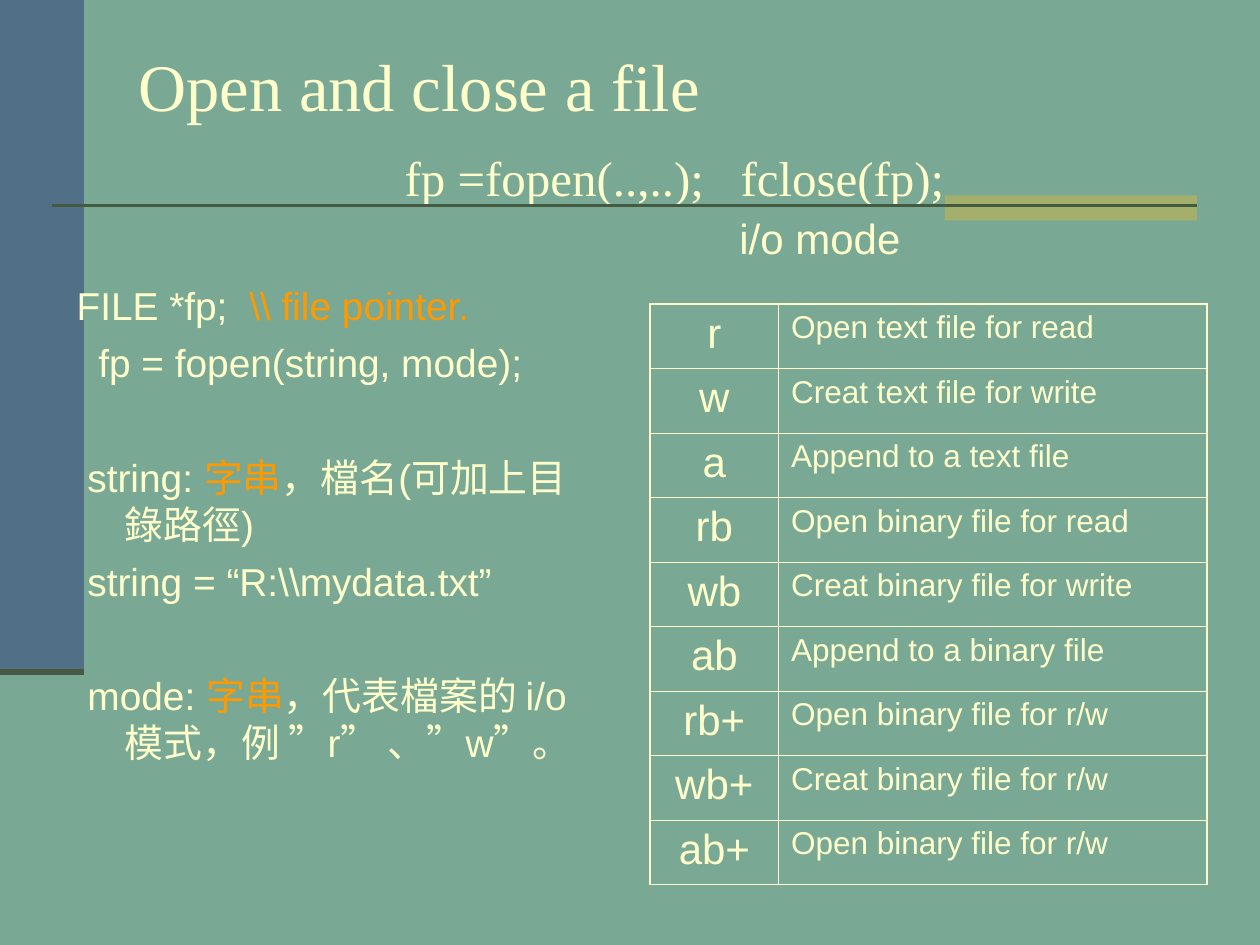
from lxml import etree
from pptx import Presentation
from pptx.dml.color import RGBColor
from pptx.enum.shapes import MSO_CONNECTOR, MSO_SHAPE
from pptx.enum.text import MSO_ANCHOR, MSO_AUTO_SIZE, PP_ALIGN
from pptx.oxml.ns import qn
from pptx.util import Pt

LEFT, CENTER = PP_ALIGN.LEFT, PP_ALIGN.CENTER
TOP = MSO_ANCHOR.TOP
NO_FIT, GROW = MSO_AUTO_SIZE.NONE, MSO_AUTO_SIZE.SHAPE_TO_FIT_TEXT
RECTANGLE, STRAIGHT = MSO_SHAPE.RECTANGLE, MSO_CONNECTOR.STRAIGHT

BACKGROUND = RGBColor(0x79, 0xA9, 0x94)
BAND = RGBColor(0x51, 0x70, 0x87)
ACCENT = RGBColor(0xA4, 0xAF, 0x6B)
RULE = RGBColor(0x45, 0x5B, 0x41)
CREAM = RGBColor(0xFF, 0xFF, 0xCC)
ORANGE = RGBColor(0xFF, 0x99, 0x00)

HANGING = 27.4
SPACE = 6.2
LINE = 26.7
GAP = 6
BLOCK_GAP = LINE + 2 * GAP

# Each line: first-line offset, space before, runs of (text, colour)
NOTES = [
    (0, 0, [("FILE *fp;  ", CREAM), ("\\\\ file pointer.", ORANGE)]),
    (2 * SPACE, GAP, [("fp = fopen(string, mode);", CREAM)]),
    (SPACE, BLOCK_GAP, [("string: ", CREAM), ("字串", ORANGE),
                        ("，檔名(可加上目錄路徑)", CREAM)]),
    (SPACE, GAP, [("string = “R:\\\\mydata.txt”", CREAM)]),
    (SPACE, BLOCK_GAP, [("mode: ", CREAM), ("字串", ORANGE),
                        ("，代表檔案的 i/o 模式，例 ”r” 、”w”。", CREAM)]),
]

MODES = [
    ("r", "Open text file for read"),
    ("w", "Creat text file for write"),
    ("a", "Append to a text file"),
    ("rb", "Open binary file for read"),
    ("wb", "Creat binary file for write"),
    ("ab", "Append to a binary file"),
    ("rb+", "Open binary file for r/w"),
    ("wb+", "Creat binary file for r/w"),
    ("ab+", "Open binary file for r/w"),
]


def write(paragraph, text, size=24, font="Arial", color=CREAM, align=LEFT):
    paragraph.alignment = align
    run = paragraph.add_run()
    run.text = text
    run.font.size = Pt(size)
    run.font.name = font
    run.font.color.rgb = color


def set_indent(paragraph, left, first=0):
    properties = paragraph._p.get_or_add_pPr()
    properties.set("marL", str(Pt(left)))
    properties.set("indent", str(Pt(first)))


def add_block(slide, left, top, width, height, color):
    block = slide.shapes.add_shape(RECTANGLE, Pt(left), Pt(top), Pt(width), Pt(height))
    block.shadow.inherit = False
    block.fill.solid()
    block.fill.fore_color.rgb = color
    block.line.fill.background()


def add_rule(slide, left, right, y, weight):
    rule = slide.shapes.add_connector(STRAIGHT, Pt(left), Pt(y), Pt(right), Pt(y))
    rule.line.color.rgb = RULE
    rule.line.width = Pt(weight)
    etree.SubElement(rule._element.spPr, qn("a:effectLst"))


def add_title(slide):
    title = slide.shapes.title
    title.left, title.top, title.width, title.height = Pt(72), Pt(21.6), Pt(612), Pt(90)
    frame = title.text_frame
    frame.auto_size = NO_FIT
    frame.vertical_anchor = TOP
    frame.margin_top = Pt(4)
    write(frame.paragraphs[0], "Open and close a file", size=38, font="Times New Roman")
    calls = frame.add_paragraph()
    set_indent(calls, 152)
    calls.space_before = Pt(13)
    write(calls, "fp =fopen(..,..);   fclose(fp);", size=28, font="Times New Roman")


def add_notes(slide):
    frame = slide.shapes.add_textbox(Pt(36.7), Pt(156.2), Pt(300.2), Pt(325.4)).text_frame
    frame.word_wrap = True
    frame.margin_top = Pt(4.8)
    for index, (offset, before, runs) in enumerate(NOTES):
        line = frame.add_paragraph() if index else frame.paragraphs[0]
        set_indent(line, HANGING, offset - HANGING)
        line.line_spacing = Pt(LINE)
        line.space_before = Pt(before)
        for text, color in runs:
            write(line, text, size=22.2, color=color)


def add_mode_label(slide):
    frame = slide.shapes.add_textbox(Pt(415.4), Pt(118.1), Pt(106.6), Pt(36)).text_frame
    frame.word_wrap = False
    frame.auto_size = GROW
    write(frame.paragraphs[0], "i/o mode")


def set_borders(cell, outer_sides):
    """Draw all four borders, heavier on the sides at the table's edge."""
    properties = cell._tc.get_or_add_tcPr()
    for side in "LRTB":
        weight = 1.08 if side in outer_sides else 0.45
        border = etree.SubElement(properties, qn(f"a:ln{side}"), w=str(Pt(weight)))
        fill = etree.SubElement(border, qn("a:solidFill"))
        etree.SubElement(fill, qn("a:srgbClr"), val=str(CREAM))


def add_mode_table(slide):
    table = slide.shapes.add_table(len(MODES), 2, Pt(371.5), Pt(173.7),
                                   Pt(318.3), Pt(331.7)).table
    table.first_row = table.horz_banding = False
    table.columns[0].width, table.columns[1].width = Pt(73.4), Pt(244.9)
    formats = [{"size": 24, "align": CENTER}, {"size": 18}]
    for row, texts in enumerate(MODES):
        edge = {0: "T", len(MODES) - 1: "B"}.get(row, "")
        for column, text in enumerate(texts):
            cell = table.cell(row, column)
            set_borders(cell, edge + "LR"[column])
            cell.fill.background()
            write(cell.text_frame.paragraphs[0], text, **formats[column])


def main():
    deck = Presentation()
    deck.slide_width, deck.slide_height = Pt(720), Pt(540)
    slide = deck.slides.add_slide(deck.slide_layouts[5])
    slide.background.fill.solid()
    slide.background.fill.fore_color.rgb = BACKGROUND
    add_block(slide, 0, 0, 48, 384, BAND)
    add_block(slide, 540, 111.6, 144, 14.4, ACCENT)
    add_rule(slide, 30, 684, 117.6, 1.5)
    add_rule(slide, 0, 48, 384, 3.5)
    add_title(slide)
    add_notes(slide)
    add_mode_table(slide)
    add_mode_label(slide)
    deck.save("out.pptx")


if __name__ == "__main__":
    main()
